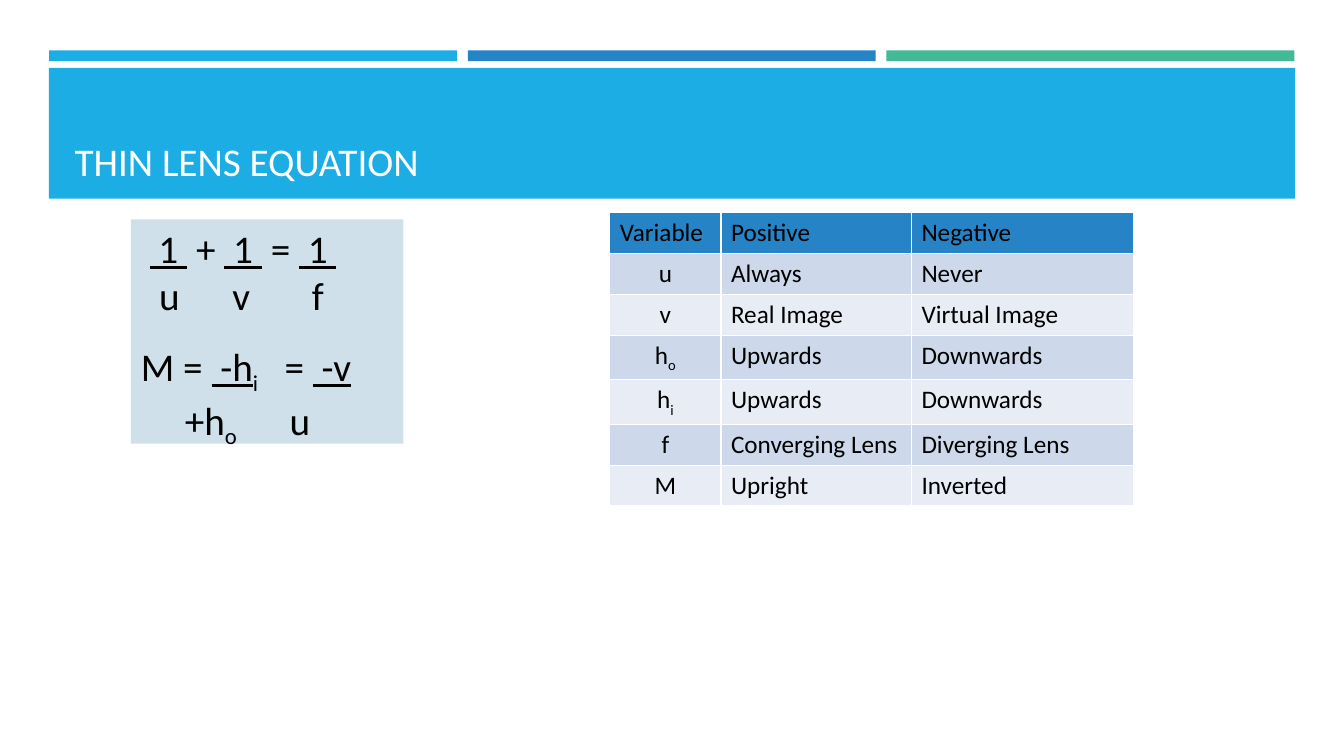
from lxml import etree
from pptx import Presentation
from pptx.dml.color import RGBColor
from pptx.enum.shapes import MSO_SHAPE
from pptx.enum.text import MSO_ANCHOR, PP_ALIGN
from pptx.oxml.ns import qn
from pptx.util import Cm, Pt

RECTANGLE = MSO_SHAPE.RECTANGLE
BOTTOM, TOP = MSO_ANCHOR.BOTTOM, MSO_ANCHOR.TOP
LEFT, CENTER = PP_ALIGN.LEFT, PP_ALIGN.CENTER
BLACK, WHITE = "000000", "FFFFFF"
SKY, BLUE, GREEN = "1CADE4", "2683C6", "42BA97"


def add_run(paragraph, text, size=28, color=BLACK, underline=False, subscript=False):
    run = paragraph.add_run()
    run.text = text
    run.font.name = "Calibri"
    run.font.size = Pt(size)
    run.font.bold = False
    run.font.underline = underline
    run.font.color.rgb = RGBColor.from_string(color)
    if subscript:
        run.font._element.set("baseline", "-25000")


def add_box(left, top, width, height, fill):
    """Add a plain rectangle without line or shadow; lengths in centimetres."""
    shape = slide.shapes.add_shape(RECTANGLE, Cm(left), Cm(top), Cm(width), Cm(height))
    shape.shadow.inherit = False
    shape.fill.solid()
    shape.fill.fore_color.rgb = RGBColor.from_string(fill)
    shape.line.fill.background()
    return shape


presentation = Presentation()
presentation.slide_width = Cm(33.87)
presentation.slide_height = Cm(19.05)
slide = presentation.slides.add_slide(presentation.slide_layouts[6])

# Heading
for index, color in enumerate([SKY, BLUE, GREEN]):
    add_box(1.24 + index * 10.55, 1.27, 10.28, 0.27, color)
add_box(1.23, 1.71, 31.41, 3.3, SKY)
title = slide.shapes.add_textbox(Cm(1.63), Cm(1.96), Cm(30.63), Cm(2.82))
title.text_frame.word_wrap = True
title.text_frame.vertical_anchor = BOTTOM
add_run(title.text_frame.paragraphs[0], "THIN LENS EQUATION", color=WHITE)

# Equations: tab stops in centimetres, then runs of text and format
plain, underlined, subscript = {}, {"underline": True}, {"subscript": True}
equation_lines = [
    ([], [(" ", plain), (" 1 ", underlined), (" + ", plain), (" 1 ", underlined),
          (" = ", plain), (" 1 ", underlined)]),
    ([0.46, 2.31, 4.31], [("\tu\tv\tf", plain)]),
    ([3.4, 5.75], [("M = ", plain), (" -h", underlined), ("i", subscript),
                   ("\t", underlined), (" = ", plain), (" -v\t", underlined)]),
    ([1.11, 3.75], [("\t+h", plain), ("o", subscript), ("\tu", plain)]),
]
equations = add_box(3.3, 5.53, 6.87, 5.65, "CFE0EA").text_frame
equations.word_wrap = True
equations.vertical_anchor = TOP
for index, (tab_stops, runs) in enumerate(equation_lines):
    paragraph = equations.paragraphs[0] if index == 0 else equations.add_paragraph()
    paragraph.alignment = LEFT
    if index == 2:
        paragraph.space_before = Pt(17)
    if tab_stops:
        tab_list = etree.SubElement(paragraph._p.get_or_add_pPr(), qn("a:tabLst"))
        for position in tab_stops:
            etree.SubElement(tab_list, qn("a:tab"), pos=str(Cm(position)), algn="l")
    for text, text_format in runs:
        add_run(paragraph, text, **text_format)

# Sign conventions: an underscore marks the start of a subscript
sign_rows = [
    ("Variable", "Positive", "Negative"),
    ("u", "Always", "Never"),
    ("v", "Real Image", "Virtual Image"),
    ("h_o", "Upwards", "Downwards"),
    ("h_i", "Upwards", "Downwards"),
    ("f", "Converging Lens", "Diverging Lens"),
    ("M", "Upright", "Inverted"),
]
column_widths = [2.8, 4.8, 5.6]
row_height = 1.03
table = slide.shapes.add_table(
    len(sign_rows), len(column_widths), Cm(15.37), Cm(5.36),
    Cm(sum(column_widths)), Cm(row_height * len(sign_rows))).table
for column, width in zip(table.columns, column_widths):
    column.width = Cm(width)
for row_index, row_texts in enumerate(sign_rows):
    table.rows[row_index].height = Cm(row_height)
    fill = BLUE if row_index == 0 else ("E8EDF5", "CDD9EA")[row_index % 2]
    for column_index, text in enumerate(row_texts):
        cell = table.cell(row_index, column_index)
        cell.fill.solid()
        cell.fill.fore_color.rgb = RGBColor.from_string(fill)
        paragraph = cell.text_frame.paragraphs[0]
        paragraph.alignment = CENTER if row_index and column_index == 0 else LEFT
        base, _, index_letter = text.partition("_")
        add_run(paragraph, base, size=18)
        if index_letter:
            add_run(paragraph, index_letter, size=18, subscript=True)

presentation.save("out.pptx")
